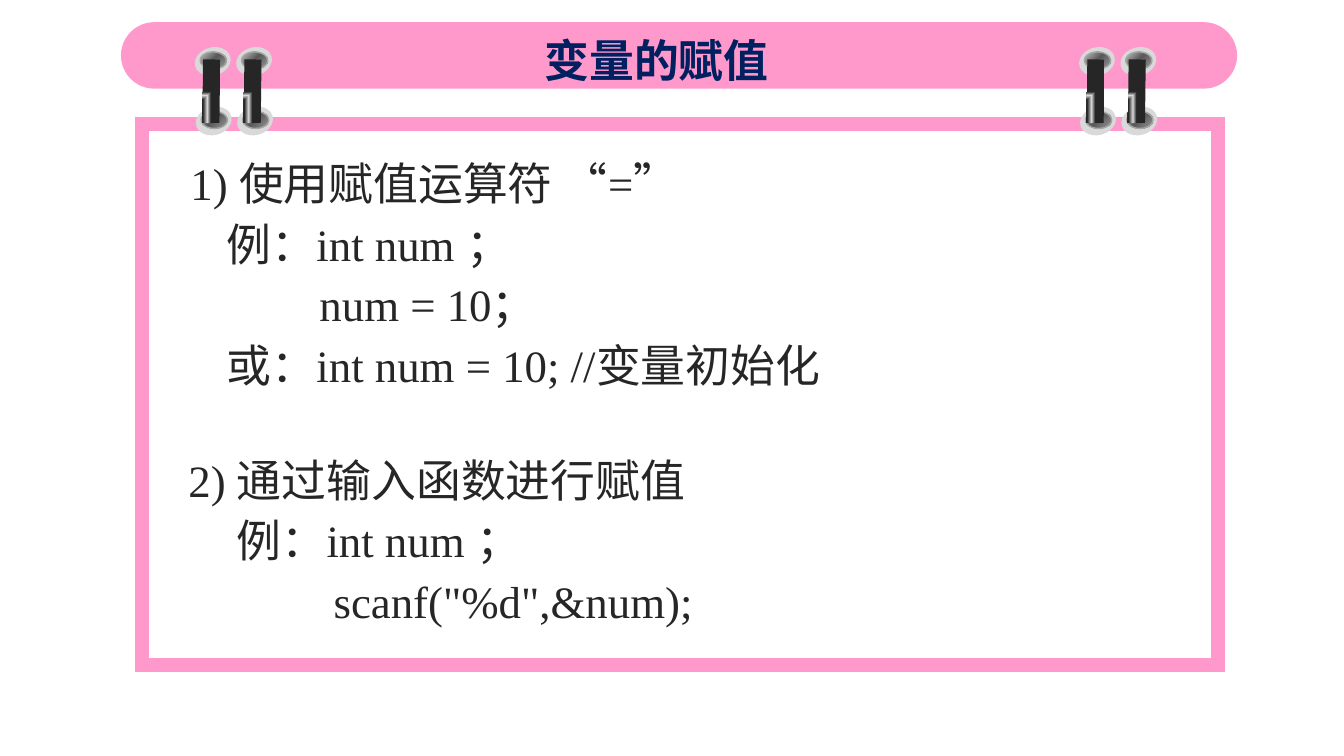
from lxml.etree import SubElement
from pptx import Presentation
from pptx.dml.color import RGBColor
from pptx.enum.shapes import MSO_SHAPE
from pptx.enum.text import MSO_ANCHOR, MSO_AUTO_SIZE, PP_ALIGN
from pptx.oxml import parse_xml
from pptx.oxml.ns import nsdecls, qn
from pptx.util import Inches, Pt

PINK = RGBColor(0xFF, 0x99, 0xCC)
WHITE = RGBColor(0xFF, 0xFF, 0xFF)
NAVY = RGBColor(0x00, 0x20, 0x60)
INK = RGBColor(0x26, 0x26, 0x26)
RING_GREY = RGBColor(0xD9, 0xD9, 0xD9)
EDGE_GREY = RGBColor(0xA6, 0xA6, 0xA6)
HOLE_GREY = RGBColor(0x80, 0x80, 0x80)
DEEP_GREY = RGBColor(0x59, 0x59, 0x59)

CJK_FONT = "Noto Sans CJK SC"
LATIN_FONT = "Times New Roman"

# Gradients: path kind, focus rectangle, stops
HOLE_GRADIENT = ("circle", 'l="100000" t="100000"',
                 [(20, HOLE_GREY), (51, DEEP_GREY), (86, EDGE_GREY)])
ROD_GRADIENT = ("rect", 't="100000" r="100000"',
                [(9, INK), (57, RING_GREY), (98, INK)])

# Text, left indent in inches, space before in points
LINES = [
    ("1) 使用赋值运算符 “=”", 0.12, 0),
    ("例：int num ；", 0.48, 6),
    ("num = 10；", 1.4, 6),
    ("或：int num = 10; //变量初始化", 0.48, 6),
    ("2) 通过输入函数进行赋值", 0.1, 44.8),
    ("例：int num ；", 0.58, 6),
    ('scanf("%d",&num);', 1.54, 6),
]


def apply_format(target, values):
    for name, value in values.items():
        setattr(target, name, value)


def format_run(run, latin, color, bold):
    apply_format(run.font, {"size": Pt(32), "name": latin, "bold": bold})
    run.font.color.rgb = color
    SubElement(run.font._element, qn("a:ea")).set("typeface", CJK_FONT)


def set_gradient(shape, gradient):
    kind, focus, stops = gradient
    stop_xml = "".join(
        f'<a:gs pos="{position * 1000}"><a:srgbClr val="{color}"/></a:gs>'
        for position, color in stops)
    shape.fill.background()
    empty_fill = shape._element.spPr.find(qn("a:noFill"))
    empty_fill.getparent().replace(empty_fill, parse_xml(
        f'<a:gradFill rotWithShape="1" {nsdecls("a")}><a:gsLst>{stop_xml}</a:gsLst>'
        f'<a:path path="{kind}"><a:fillToRect {focus}/></a:path></a:gradFill>'))


def add_block(slide, kind, box, fill, line=None, width=1, rotation=0):
    shape = slide.shapes.add_shape(kind, *map(Inches, box))
    shape.shadow.inherit = False
    shape.rotation = rotation
    if isinstance(fill, RGBColor):
        shape.fill.solid()
        shape.fill.fore_color.rgb = fill
    else:
        set_gradient(shape, fill)
    if line is None:
        shape.line.fill.background()
    else:
        shape.line.color.rgb = line
        shape.line.width = Pt(width)
    return shape


def add_binder_ring(slide, left):
    # Two eyelets joined by a rod
    for offset, top in ((0.01, 1.02), (0, 0.43)):
        add_block(slide, MSO_SHAPE.OVAL, (left + offset, top, 0.28, 0.36),
                  RING_GREY, rotation=74.3)
    for offset, top in ((0.07, 1.06), (0.06, 0.47)):
        add_block(slide, MSO_SHAPE.OVAL, (left + offset, top, 0.17, 0.26),
                  HOLE_GRADIENT, EDGE_GREY, rotation=90.7)
    add_block(slide, MSO_SHAPE.RECTANGLE, (left - 0.19, 0.82, 0.63, 0.17),
              ROD_GRADIENT, rotation=90.7)


def add_title(slide, text):
    title = slide.shapes.title
    apply_format(title, {"left": Inches(5.3), "top": Inches(0.27),
                         "width": Inches(2.45), "height": Inches(0.64)})
    frame = title.text_frame
    frame.text = text
    apply_format(frame, {
        "word_wrap": False, "auto_size": MSO_AUTO_SIZE.NONE,
        "vertical_anchor": MSO_ANCHOR.TOP,
        "margin_left": Inches(0.1), "margin_top": Inches(0.05)})
    paragraph = frame.paragraphs[0]
    apply_format(paragraph, {"alignment": PP_ALIGN.LEFT, "line_spacing": 1.0,
                             "space_before": Pt(0)})
    format_run(paragraph.runs[0], CJK_FONT, NAVY, True)
    # Bring the title in front of the pink bar
    slide.shapes._spTree.append(title._element)


def add_body(slide):
    box = slide.shapes.add_textbox(*map(Inches, (1.67, 1.51, 9.85, 4.83)))
    frame = box.text_frame
    frame.word_wrap = True
    for index, (text, indent, before) in enumerate(LINES):
        paragraph = frame.add_paragraph() if index else frame.paragraphs[0]
        apply_format(paragraph, {"line_spacing": Pt(37.3),
                                 "space_before": Pt(before)})
        paragraph._p.get_or_add_pPr().set("marL", str(Inches(indent)))
        run = paragraph.add_run()
        run.text = text
        format_run(run, LATIN_FONT, INK, False)


def main():
    presentation = Presentation()
    apply_format(presentation, {"slide_width": Inches(13.33),
                                "slide_height": Inches(7.5)})
    slide = presentation.slides.add_slide(presentation.slide_layouts[5])

    # Notepad: title bar, framed page, binder rings
    bar = add_block(slide, MSO_SHAPE.ROUNDED_RECTANGLE,
                    (1.2, 0.22, 11.07, 0.66), PINK)
    bar.adjustments[0] = 0.5
    page = add_block(slide, MSO_SHAPE.RECTANGLE, (1.41, 1.23, 10.67, 5.37),
                     WHITE, PINK, 10)
    SubElement(page.line._ln, qn("a:miter")).set("lim", "800000")
    for pair_left in (1.97, 10.74):
        for offset in (0, 0.41):
            add_binder_ring(slide, pair_left + offset)

    # Words
    add_title(slide, "变量的赋值")
    add_body(slide)
    presentation.save("out.pptx")


if __name__ == "__main__":
    main()
